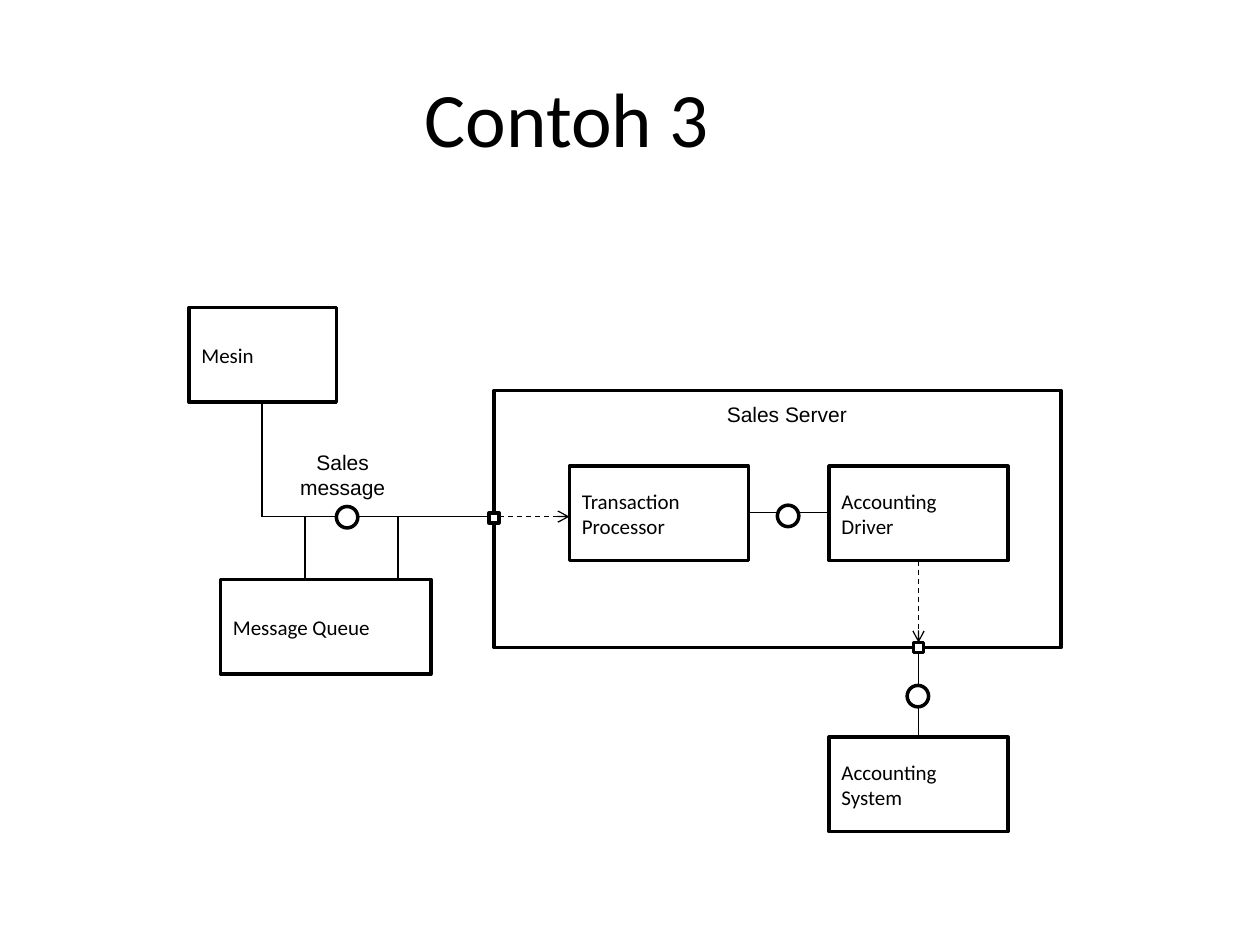
from lxml.etree import SubElement
from pptx import Presentation
from pptx.dml.color import RGBColor
from pptx.enum.dml import MSO_LINE
from pptx.enum.shapes import MSO_CONNECTOR, MSO_SHAPE
from pptx.enum.text import MSO_ANCHOR, PP_ALIGN
from pptx.oxml.ns import qn
from pptx.util import Pt

PX = 9144  # 100 px to the inch
COLORS = {"ink": "000000", "paper": "FFFFFF"}
INK = RGBColor.from_string(COLORS["ink"])
PAPER = RGBColor.from_string(COLORS["paper"])

prs = Presentation()
prs.slide_width, prs.slide_height = 1000 * PX, 750 * PX
s = prs.slides.add_slide(prs.slide_layouts[5])


def write(tf, lines, font, size, align):
    for i, line in enumerate(lines):
        p = tf.paragraphs[0] if i == 0 else tf.add_paragraph()
        p.alignment = align
        r = p.add_run()
        r.text = line
        r.font.name, r.font.size = font, Pt(size)
        r.font.color.rgb = INK


def add_node(kind, x, y, w, h, lines=()):
    """Outlined shape with left-aligned text, centred vertically."""
    sp = s.shapes.add_shape(kind, x * PX, y * PX, w * PX, h * PX)
    sp.shadow.inherit = False
    sp.fill.solid()
    sp.fill.fore_color.rgb = PAPER
    sp.line.color.rgb = INK
    sp.line.width = Pt(2)
    sp.text_frame.vertical_anchor = MSO_ANCHOR.MIDDLE
    write(sp.text_frame, lines, "Calibri", 12, PP_ALIGN.LEFT)


# Title
title = s.shapes.title
title.left, title.top, title.width, title.height = 0, 30 * PX, 900 * PX, 125 * PX
title.text_frame.vertical_anchor = MSO_ANCHOR.MIDDLE
write(title.text_frame, ["Contoh 3"], "Calibri", 44, PP_ALIGN.CENTER)

# Sales server frame, behind everything it contains
add_node(MSO_SHAPE.RECTANGLE, 392, 310, 450, 204)

# Links: x1, y1, x2, y2, delegation arrow
links = [
    (208, 319, 208, 410, False),
    (208, 410, 392, 410, False),
    (242, 410, 242, 460, False),
    (316, 410, 316, 460, False),
    (594, 407, 658, 407, False),
    (729, 519, 729, 585, False),
    (396, 410, 452, 410, True),
    (729, 445, 729, 510, True),
]
for x1, y1, x2, y2, delegation in links:
    c = s.shapes.add_connector(MSO_CONNECTOR.STRAIGHT, x1 * PX, y1 * PX, x2 * PX, y2 * PX)
    c.line.color.rgb = INK
    c.line.width = Pt(0.75)
    if delegation:
        c.line.dash_style = MSO_LINE.DASH
        SubElement(c.line._get_or_add_ln(), qn("a:tailEnd"), type="arrow")
    SubElement(c._element.spPr, qn("a:effectLst"))

# Components
components = [
    (150, 244, 117, ["Mesin"]),
    (175, 460, 167, ["Message Queue"]),
    (452, 370, 142, ["Transaction", "Processor"]),
    (658, 370, 142, ["Accounting", "Driver"]),
    (658, 585, 142, ["Accounting", "System"]),
]
for x, y, w, lines in components:
    add_node(MSO_SHAPE.RECTANGLE, x, y, w, 75, lines)

# Ports on the server frame
for x, y in [(388, 407), (725, 510)]:
    add_node(MSO_SHAPE.RECTANGLE, x, y, 8, 8)

# Interfaces
for x, y in [(267, 402), (617, 401), (720, 544)]:
    add_node(MSO_SHAPE.OVAL, x, y, 17, 17)

# Labels
labels = [
    (567, 314, 116, 30, ["Sales Server"], PP_ALIGN.LEFT),
    (228, 352, 88, 51, ["Sales", "message"], PP_ALIGN.CENTER),
]
for x, y, w, h, lines, align in labels:
    tf = s.shapes.add_textbox(x * PX, y * PX, w * PX, h * PX).text_frame
    tf.word_wrap = False
    write(tf, lines, "Arial", 12, align)

prs.save("out.pptx")
